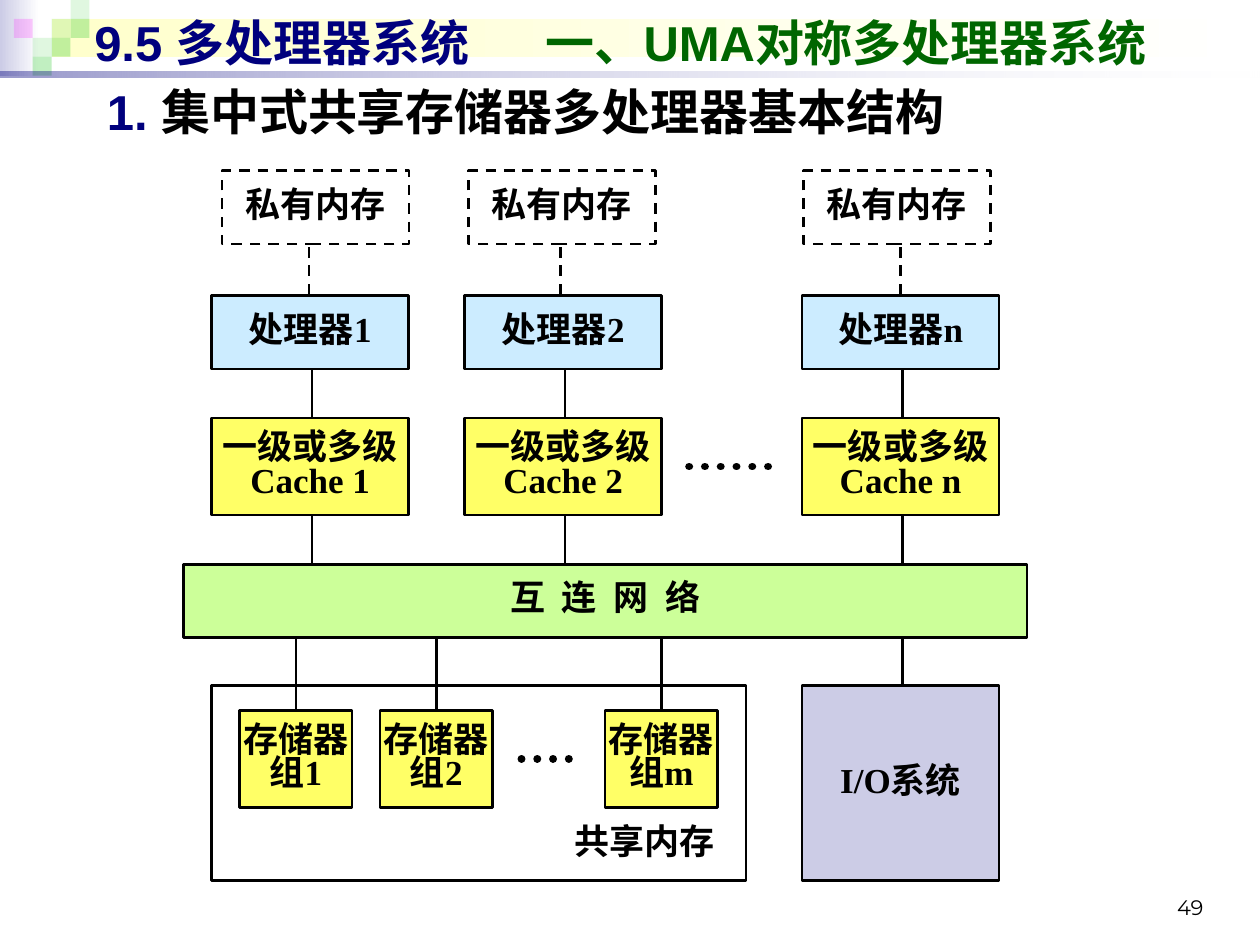
from dataclasses import dataclass
from typing import Optional

from lxml.etree import SubElement
from pptx import Presentation
from pptx.dml.color import RGBColor
from pptx.enum.dml import MSO_LINE_DASH_STYLE as Dash
from pptx.enum.shapes import MSO_CONNECTOR as Link, MSO_SHAPE as Preset
from pptx.enum.text import MSO_ANCHOR as Anchor, PP_ALIGN as Align
from pptx.oxml.ns import qn
from pptx.util import Pt


@dataclass
class Run:
    text: str
    size: float = 20
    font: str = "Times New Roman"
    ink: str = "000000"
    bold: bool = True


@dataclass
class Box:
    left: float
    top: float
    width: float
    height: float
    fill: Optional[str] = None
    line: Optional[str] = "000000"
    dash: Optional[Dash] = None
    lines: tuple[str, ...] = ()
    inset: Optional[float] = None
    align: Align = Align.CENTER


@dataclass
class Wire:
    start: tuple[float, float]
    end: tuple[float, float]
    width: float = 1.5
    dash: Optional[Dash] = None


def paint(color, value: str) -> None:
    color.rgb = RGBColor.from_string(value)


def assign(target, values: dict) -> None:
    for name, value in values.items():
        setattr(target, name, value)


def add_run(paragraph, run: Run):
    piece = paragraph.add_run()
    piece.text = run.text
    assign(piece.font, {"size": Pt(run.size), "name": run.font, "bold": run.bold})
    paint(piece.font.color, run.ink)
    return piece


def set_alphas(shape, *alphas: int) -> None:
    for color, alpha in zip(shape.element.spPr.iter(qn("a:srgbClr")), alphas):
        SubElement(color, qn("a:alpha")).set("val", str(alpha * 1000))


def draw_box(shapes, box: Box):
    shape = shapes.add_shape(
        Preset.RECTANGLE, Pt(box.left), Pt(box.top), Pt(box.width), Pt(box.height))
    shape.shadow.inherit = False
    if box.fill:
        shape.fill.solid()
        paint(shape.fill.fore_color, box.fill)
    else:
        shape.fill.background()
    if box.line:
        assign(shape.line, {"width": Pt(1.5), "dash_style": box.dash})
        paint(shape.line.color, box.line)
    else:
        shape.line.fill.background()
    frame = shape.text_frame
    assign(frame, {"word_wrap": True, "vertical_anchor": Anchor.MIDDLE})
    if box.inset is not None:
        assign(frame, {f"margin_{side}": Pt(box.inset)
                       for side in ("left", "top", "right", "bottom")})
    for index, text in enumerate(box.lines):
        paragraph = frame.add_paragraph() if index else frame.paragraphs[0]
        assign(paragraph, {"alignment": box.align, "line_spacing": 0.8})
        add_run(paragraph, Run(text))
    return shape


def draw_band(shapes, box: Box, start: str, end: str, alphas: tuple[int, ...] = ()) -> None:
    band = draw_box(shapes, box)
    band.fill.gradient()
    band.fill.gradient_angle = 0
    for stop, value in zip(band.fill.gradient_stops, (start, end)):
        paint(stop.color, value)
    set_alphas(band, *alphas)


def draw_wire(shapes, wire: Wire) -> None:
    connector = shapes.add_connector(
        Link.STRAIGHT, *(Pt(value) for value in wire.start + wire.end))
    assign(connector.line, {"width": Pt(wire.width), "dash_style": wire.dash})
    paint(connector.line.color, "000000")
    properties = connector.element.spPr
    if wire.dash == Dash.ROUND_DOT:
        properties.find(qn("a:ln")).set("cap", "rnd")
    SubElement(properties, qn("a:effectLst"))


def add_label(shapes, area: tuple, anchor: Anchor, align: Align, *runs: Run):
    label = shapes.add_textbox(*(Pt(value) for value in area))
    assign(label.text_frame, {"word_wrap": True, "vertical_anchor": anchor})
    paragraph = label.text_frame.paragraphs[0]
    paragraph.alignment = align
    for run in runs:
        add_run(paragraph, run)
    return paragraph.runs[0]._r.getparent().get_or_add_pPr()


def draw_header(shapes) -> None:
    draw_band(shapes, Box(0, 0, 22.5, 43.2, line=None), "CCCCE6", "FFFFFF")
    draw_band(shapes, Box(29.5, 10.8, 687.6, 21.6, line=None), "FFFFCC", "FFFFFF")
    tile = 10.8
    for column, row, value, alpha in (
            (2, 1, "33CC33", 15), (3, 0, "33CC33", 15), (3, 1, "33CC33", 30),
            (1, 2, "33CC33", 15), (0, 1, "FF00FF", 20), (2, 2, "33CC33", 30),
            (1, 3, "33CC33", 30)):
        square = Box(7.9 + column * tile, row * tile, tile, tile, value, None)
        set_alphas(draw_box(shapes, square), alpha)
    draw_band(shapes, Box(0, 41, 720, 3.6, line=None), "00007D", "FFFFFF", (40, 10))

    title = add_label(shapes, (46.8, 3.6, 648, 41), Anchor.MIDDLE, Align.LEFT,
                      Run("9.5 多处理器系统\t", 28, "Arial", "00007D"),
                      Run("一、UMA对称多处理器系统", 28, "Arial", "006600"))
    stops = SubElement(title, qn("a:tabLst"))
    assign_stop = SubElement(stops, qn("a:tab"))
    assign_stop.set("pos", str(Pt(258)))
    assign_stop.set("algn", "l")
    heading = add_label(shapes, (54, 43.2, 640.8, 45.4), Anchor.TOP, Align.LEFT,
                        Run("1. ", 28, "Arial", "00007D"),
                        Run("集中式共享存储器多处理器基本结构", 28))
    heading.set("marL", str(Pt(28)))
    heading.set("indent", str(Pt(-28)))
    add_label(shapes, (516.2, 491.8, 178.6, 37.4), Anchor.BOTTOM, Align.RIGHT,
              Run("49", 12, "Montserrat", bold=False))


def draw_processors(shapes) -> None:
    for name, left, private_left, private_link in (
            ("1", 121, 126.8, 176.6), ("2", 265.6, 267.6, 320.2),
            ("n", 458.4, 459, 514.6)):
        center = left + 57.2
        draw_box(shapes, Box(private_left, 97.6, 107, 41.8, "FFFFFF",
                             dash=Dash.DASH, lines=("私有内存",)))
        draw_box(shapes, Box(left, 168.9, 112.5, 42, "CCECFF", lines=(f"处理器{name}",)))
        draw_box(shapes, Box(left, 238.8, 112.5, 55.6, "FFFF66",
                             lines=("一级或多级", f"Cache {name}"), inset=0))
        draw_wire(shapes, Wire((private_link, 168.2), (private_link, 140), dash=Dash.DASH))
        for top, bottom in ((210.6, 238.6), (294, 322)):
            draw_wire(shapes, Wire((center, top), (center, bottom)))
    draw_wire(shapes, Wire((393.8, 266.6), (442, 266.6), 4.5, Dash.ROUND_DOT))


def draw_memory(shapes) -> None:
    draw_box(shapes, Box(328.3, 469.4, 97.9, 26.6, "FFFFFF", None,
                         lines=("共享内存",), inset=0, align=Align.JUSTIFY))
    for name, left in (("1", 137), ("2", 217.2), ("m", 345.8)):
        draw_box(shapes, Box(left, 405.9, 64.3, 55.5, "FFFF66",
                             lines=("存储器", f"组{name}"), inset=0))
        draw_wire(shapes, Wire((left + 32.2, 364.2), (left + 32.2, 406)))
    draw_wire(shapes, Wire((298, 433.6), (329.8, 433.6), 4.5, Dash.ROUND_DOT))
    draw_box(shapes, Box(121, 391.8, 305.4, 111.4))


def main() -> None:
    deck = Presentation()
    assign(deck, {"slide_width": Pt(720), "slide_height": Pt(540)})
    shapes = deck.slides.add_slide(deck.slide_layouts[6]).shapes
    draw_header(shapes)
    draw_processors(shapes)
    network = draw_box(shapes, Box(105, 322.4, 482, 41.8, "CCFF99", lines=("互 连 网 络",)))
    network.text_frame.paragraphs[0].runs[0].font._element.set("spc", "250")
    draw_memory(shapes)
    draw_box(shapes, Box(458.4, 391.8, 112.5, 111.4, "CCCCE6", lines=("I/O系统",)))
    draw_wire(shapes, Wire((515.6, 364), (515.6, 391.8)))
    deck.save("out.pptx")


if __name__ == "__main__":
    main()
